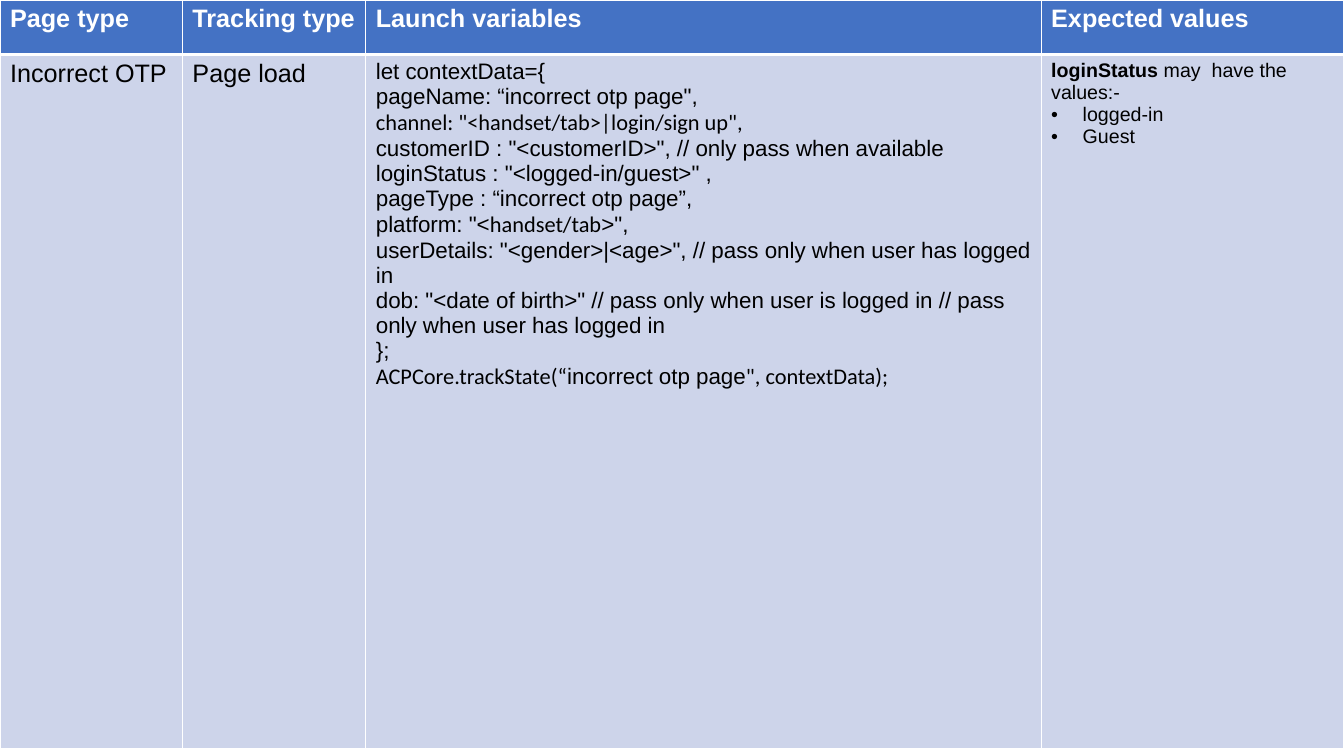
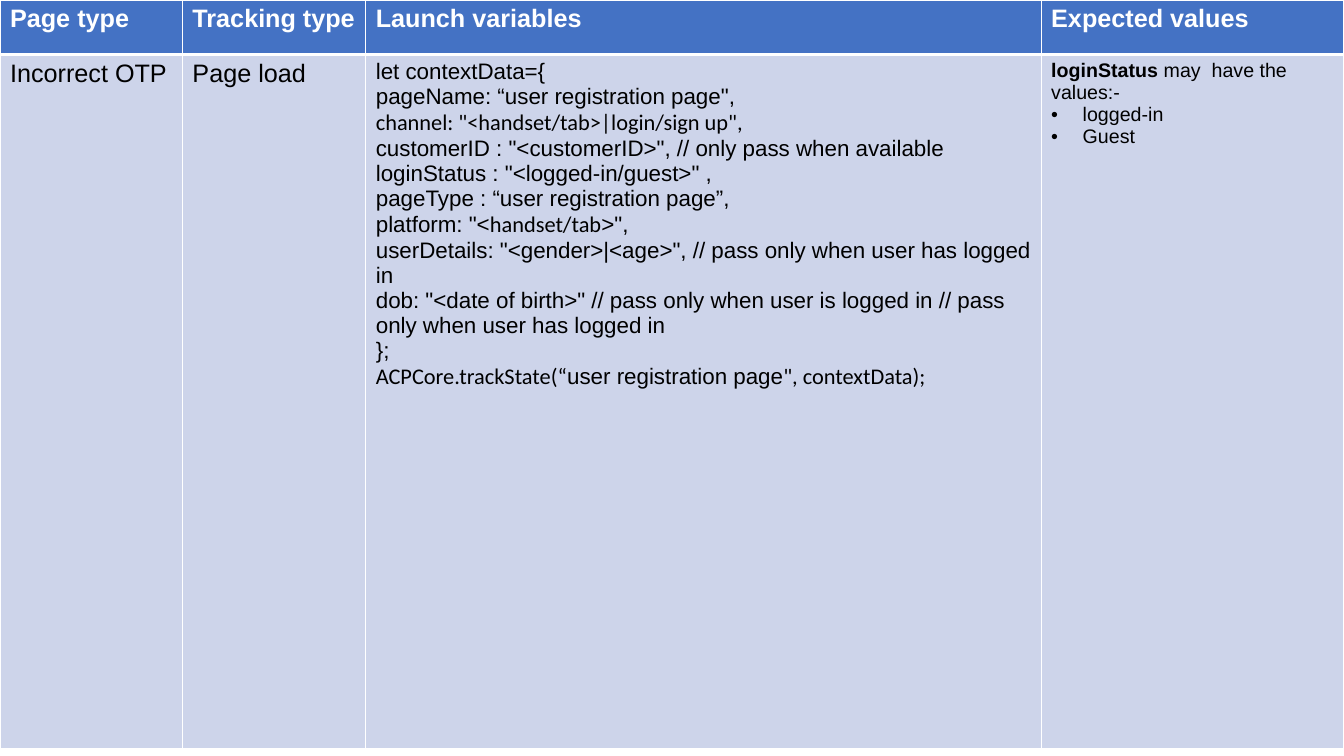
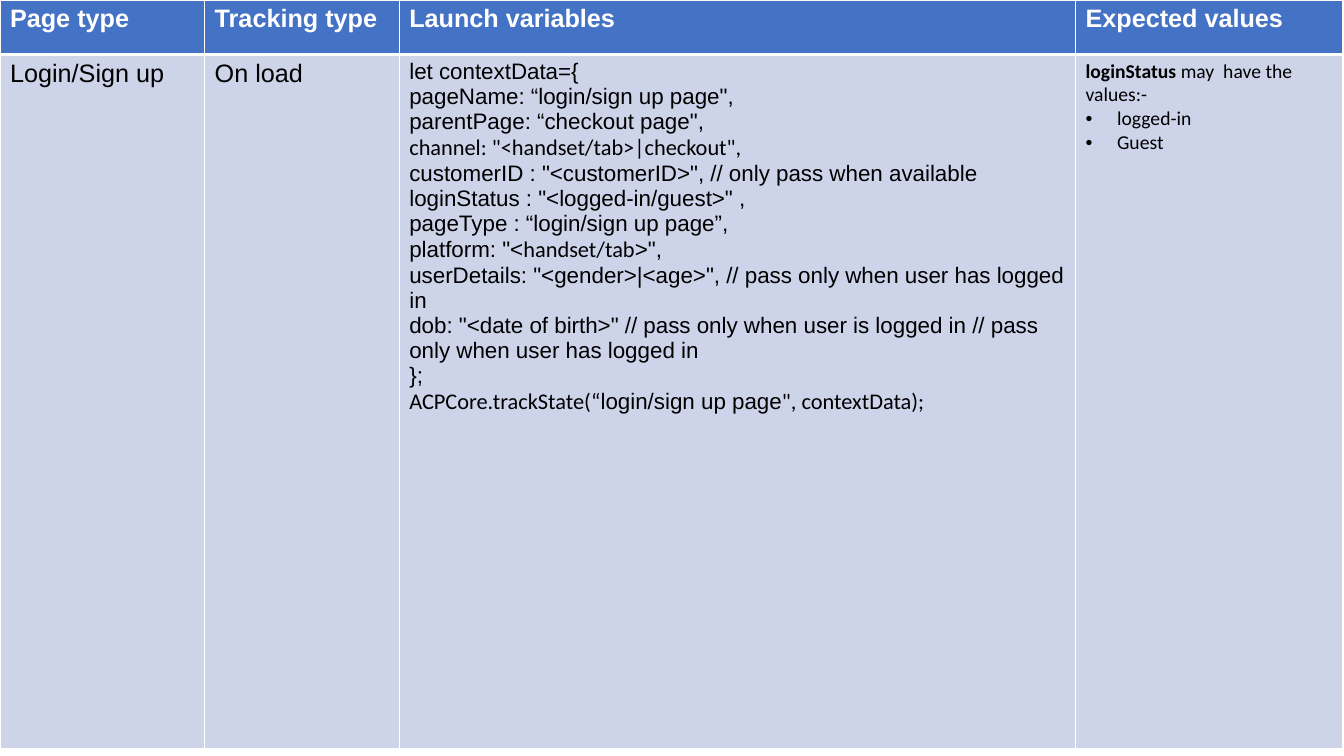
import dataclasses

import pptx
import pptx.dml.color
import pptx.oxml
import pptx.oxml.ns
import pptx.util

Pt = pptx.util.Pt


@dataclasses.dataclass(frozen=True)
class Theme:
    header_fill: str = "4472C4"
    body_fill: str = "CDD4EA"
    white: str = "FFFFFF"
    black: str = "000000"
    sans: str = "Arial"
    code: str = "Calibri"
    label_size: int = 18
    variable_size: int = 16
    value_size: int = 14
    thin: int = 1
    thick: int = 3
    bullet_indent: float = 22.5


THEME = Theme()
HEADERS = ("Page type", "Tracking type", "Launch variables", "Expected values")
ROW_HEIGHTS = (38.9, 496.1)
OTP_COLUMNS = (130.3, 131, 482.4, 216)
LOGIN_COLUMNS = (146.2, 139, 483.1, 190.8)


class TrackingDeck:
    def __init__(self, theme):
        self.theme = theme
        self.deck = pptx.Presentation()
        self.deck.slide_width = Pt(960)
        self.deck.slide_height = Pt(540)
        self.slide = None

    def add_slide(self):
        self.slide = self.deck.slides.add_slide(self.deck.slide_layouts[6])

    def add_table(self, widths, heights):
        frame = self.slide.shapes.add_table(
            len(heights), len(widths), 0, 0, Pt(sum(widths)), Pt(sum(heights)))
        table = frame.table
        for column, width in zip(table.columns, widths):
            column.width = Pt(width)
        for row, height in zip(table.rows, heights):
            row.height = Pt(height)
        return table

    def style_cell(self, cell, fill, top, bottom):
        thin = self.theme.thin
        properties = cell._tc.get_or_add_tcPr()
        for side, width in (("L", thin), ("R", thin), ("T", top), ("B", bottom)):
            properties.append(pptx.oxml.parse_xml(
                f'<a:ln{side} {pptx.oxml.ns.nsdecls("a")} w="{Pt(width)}">'
                f'<a:solidFill><a:srgbClr val="{self.theme.white}"/></a:solidFill>'
                f'</a:ln{side}>'))
        cell.fill.solid()
        cell.fill.fore_color.rgb = pptx.dml.color.RGBColor.from_string(fill)

    def write_lines(self, cell, lines, size, color):
        frame = cell.text_frame
        for index, line in enumerate(lines):
            para = frame.add_paragraph() if index else frame.paragraphs[0]
            for text, font, bold in line:
                span = para.add_run()
                span.text = text
                span.font.name = font
                span.font.size = Pt(size)
                span.font.bold = bold
                span.font.color.rgb = pptx.dml.color.RGBColor.from_string(color)

    def add_bullet(self, para):
        properties = para._p.get_or_add_pPr()
        indent = Pt(self.theme.bullet_indent)
        properties.set("marL", str(indent))
        properties.set("indent", str(-indent))
        for content in (
                f'buClr {{}}><a:srgbClr val="{self.theme.black}"/></a:buClr>',
                f'buFont {{}} typeface="{self.theme.sans}"/>',
                'buChar {} char="•"/>'):
            properties.append(pptx.oxml.parse_xml(
                "<a:" + content.format(pptx.oxml.ns.nsdecls("a"))))

    def add_tracking_page(self, widths, page_type, tracking, variables, values):
        theme = self.theme
        self.add_slide()
        table = self.add_table(widths, ROW_HEIGHTS)
        for column, header in enumerate(HEADERS):
            cell = table.cell(0, column)
            self.style_cell(cell, theme.header_fill, theme.thin, theme.thick)
            self.write_lines(cell, [[(header, theme.sans, True)]],
                             theme.label_size, theme.white)
        contents = (
            ([[(page_type, theme.sans, False)]], theme.label_size),
            ([[(tracking, theme.sans, False)]], theme.label_size),
            (variables, theme.variable_size),
            (values, theme.value_size))
        for column, (lines, size) in enumerate(contents):
            cell = table.cell(1, column)
            self.style_cell(cell, theme.body_fill, theme.thick, theme.thin)
            self.write_lines(cell, lines, size, theme.black)
        for para in table.cell(1, 3).text_frame.paragraphs[1:]:
            self.add_bullet(para)


def sans(text):
    return text, THEME.sans, False


def code(text):
    return text, THEME.code, False


def launch_variables(page_name, channel, parent=None):
    parent_lines = [[sans(f'parentPage: “{parent}",')]] if parent else []
    return [
        [sans("let contextData={")],
        [sans(f'pageName: “{page_name}",')],
        *parent_lines,
        [code(f'channel: "<handset/tab>|{channel}",')],
        [sans('customerID : "<customerID>", // only pass when available')],
        [sans('loginStatus : "<logged-in/guest>" ,')],
        [sans(f"pageType : “{page_name}”,")],
        [sans('platform: "<'), code("handset/tab"), sans('>",')],
        [sans('userDetails: "<gender>|<age>", // pass only when user has logged in')],
        [sans('dob: "<date of birth>" // pass only when user is logged in '
              '// pass only when user has logged in')],
        [sans("};")],
        [code("ACPCore.trackState(“"), sans(page_name), code('", contextData);')],
    ]


def expected_values(font):
    return [
        [("loginStatus ", font, True), ("may  have the values:-", font, False)],
        [("logged-in", font, False)],
        [("Guest", font, False)],
    ]


def main():
    builder = TrackingDeck(THEME)
    for page_name in ("incorrect otp page", "user registration page"):
        builder.add_tracking_page(
            OTP_COLUMNS, "Incorrect OTP", "Page load",
            launch_variables(page_name, "login/sign up"),
            expected_values(THEME.sans))
    builder.add_tracking_page(
        LOGIN_COLUMNS, "Login/Sign up", "On load",
        launch_variables("login/sign up page", "checkout", "checkout page"),
        expected_values(THEME.code))
    builder.deck.save("out.pptx")


if __name__ == "__main__":
    main()
